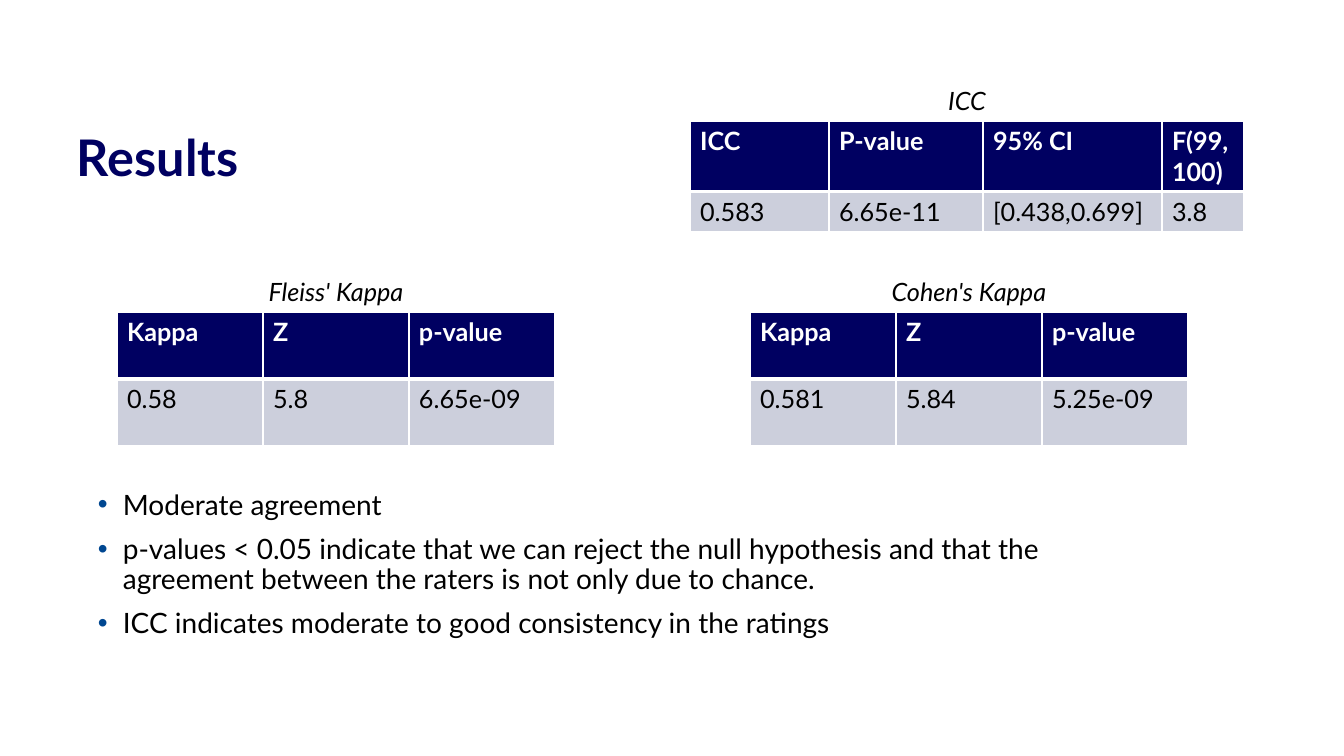
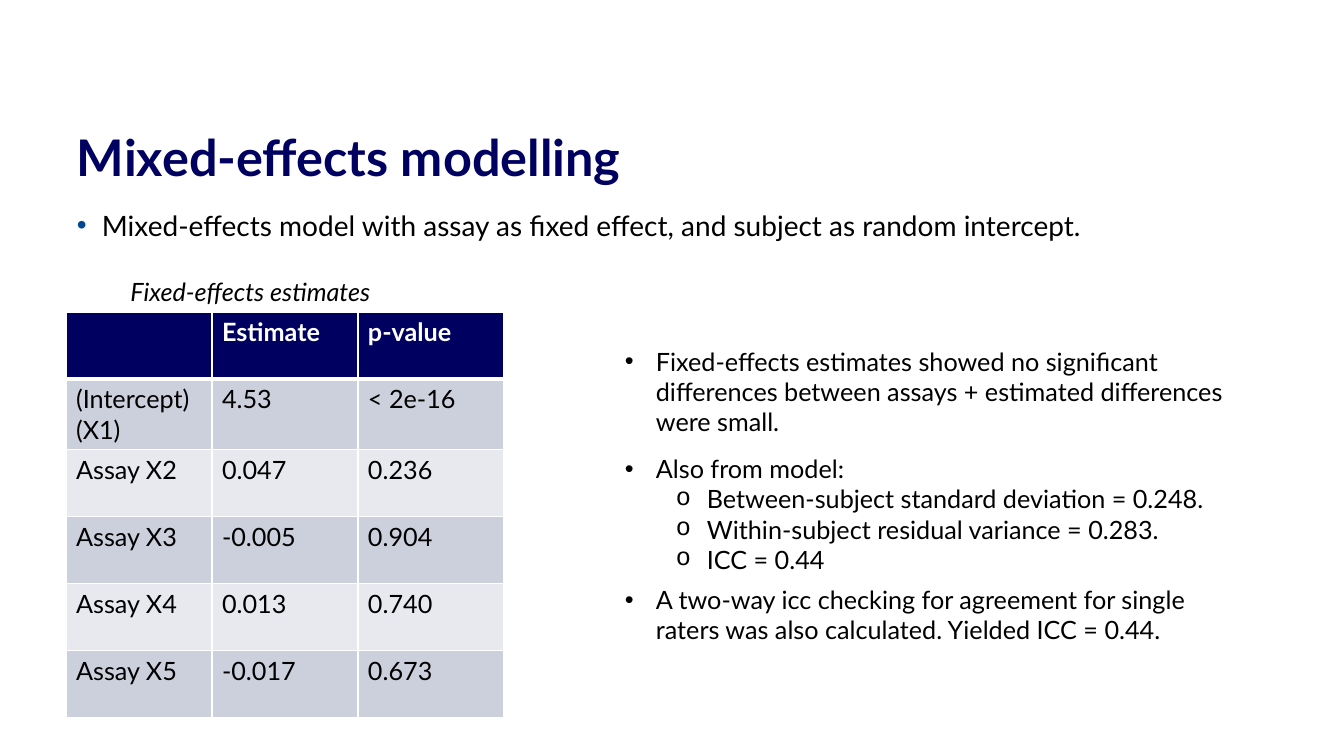
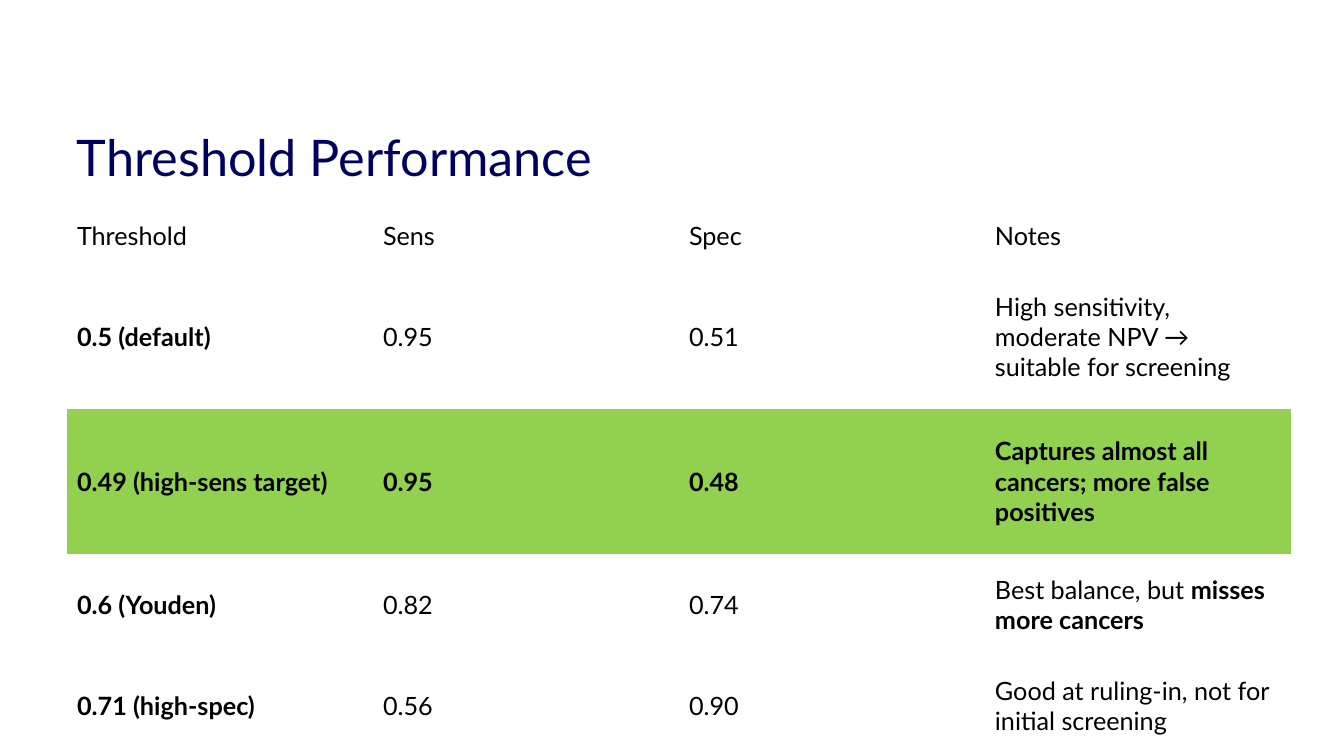
import pptx
import pptx.util
import pptx.dml.color
import pptx.enum.text
import pptx.oxml.ns
from lxml import etree

PX = 914400 / 100.8

THEME = {
    "font": "Lato",
    "navy": "000061", "blue": "004791", "black": "000000", "white": "FFFFFF",
    "band_dark": "CCCFDC", "band_light": "E7E9EE", "highlight": "92D050",
    "title_size": 36, "body_size": 20, "text_size": 18,
}
TITLE_BOX = (67, 121, 1212, 62)
CAPTION_WIDTH, CAPTION_HEIGHT, CAPTION_RISE = 329, 40, 41
LEFT, CENTER = pptx.enum.text.PP_ALIGN.LEFT, pptx.enum.text.PP_ALIGN.CENTER

# Bullet levels: character, its font, left margin and hanging indent in px
BODY_BULLET = ("•", "Arial", 25, 25)
NOTE_BULLET = ("•", "Arial", 31, 31)
SUB_BULLET = ("o", "Courier New", 82, 31)

# ---- Content ----
RESULTS_TABLES = [
    # caption, left, top, column widths, row heights, rows
    ("Fleiss' Kappa", 117, 312, [146] * 3, [67] * 2,
     [["Kappa", "Z", "p-value"], ["0.58", "5.8", "6.65e-09"]]),
    ("Cohen's Kappa", 750, 312, [146] * 3, [67] * 2,
     [["Kappa", "Z", "p-value"], ["0.581", "5.84", "5.25e-09"]]),
    ("ICC", 690, 121, [139, 154, 179, 82], [67, 40],
     [["ICC", "P-value", "95% CI", "F(99,100)"],
      ["0.583", "6.65e-11", "[0.438,0.699]", "3.8"]]),
]
# Bulleted lines: text, bullet level, space before in points
RESULTS_POINTS = [
    ("Moderate agreement", BODY_BULLET, 0),
    ("p-values < 0.05 indicate that we can reject the null hypothesis and that the "
     "agreement between the raters is not only due to chance.", BODY_BULLET, 10),
    ("ICC indicates moderate to good consistency in the ratings", BODY_BULLET, 10),
]

MODEL_POINTS = [
    ("Mixed-effects model with assay as fixed effect, and subject as random intercept.",
     BODY_BULLET, 0),
]
ESTIMATES_TABLE = (
    "Fixed-effects estimates", 66, 312, [146] * 3, [67] * 6,
    [["", "Estimate", "p-value"],
     ["(Intercept) (X1)", "4.53", "< 2e-16"],
     ["Assay X2", "0.047", "0.236"],
     ["Assay X3", "-0.005", "0.904"],
     ["Assay X4", "0.013", "0.740"],
     ["Assay X5", "-0.017", "0.673"]])
MODEL_NOTES = [
    ("Fixed-effects estimates showed no significant differences between assays "
     "+ estimated differences were small.", NOTE_BULLET, 0),
    ("Also from model:", NOTE_BULLET, 12),
    ("Between-subject standard deviation = 0.248.", SUB_BULLET, 0),
    ("Within-subject residual variance = 0.283.", SUB_BULLET, 0),
    ("ICC = 0.44", SUB_BULLET, 0),
    ("A two-way icc checking for agreement for single raters was also calculated. "
     "Yielded ICC = 0.44.", NOTE_BULLET, 7.2),
]

# Text between ** marks is bold
THRESHOLD_ROWS = [
    ["Threshold", "Sens", "Spec", "Notes"],
    ["**0.5 (default)**", "0.95", "0.51",
     "High sensitivity, moderate NPV → suitable for screening"],
    ["**0.49 (high-sens target)**", "**0.95**", "**0.48**",
     "**Captures almost all cancers; more false positives**"],
    ["**0.6 (Youden)**", "0.82", "0.74", "Best balance, but **misses more cancers**"],
    ["**0.71 (high-spec)**", "0.56", "0.90", "Good at ruling-in, not for initial screening"],
]
CHOSEN_ROW = 2


# ---- Helpers ----
def px(length):
    return pptx.util.Emu(round(length * PX))


def rgb(name):
    return pptx.dml.color.RGBColor.from_string(THEME[name])


def style_run(run, size, color="black", bold=False, italic=False):
    run.font.name = THEME["font"]
    run.font.size = pptx.util.Pt(THEME[size])
    run.font.color.rgb = rgb(color)
    run.font.bold = bold
    run.font.italic = italic


def child(parent, tag, **attributes):
    return etree.SubElement(parent, pptx.oxml.ns.qn(tag), **attributes)


def add_text_frame(slide, box):
    frame = slide.shapes.add_textbox(*map(px, box)).text_frame
    frame.word_wrap = True
    return frame


def add_line(slide, box, text, size, align=LEFT, **look):
    frame = add_text_frame(slide, box)
    frame.text = text
    paragraph = frame.paragraphs[0]
    paragraph.alignment = align
    style_run(paragraph.runs[0], size, **look)
    return frame


def new_slide(deck, title, bold=True):
    slide = deck.slides.add_slide(deck.slide_layouts[6])
    frame = add_line(slide, TITLE_BOX, title, "title_size", color="navy", bold=bold)
    frame.margin_top = px(12)
    frame.paragraphs[0].line_spacing = 0.9
    return slide


def add_bullets(slide, box, lines, size, bullet_color="black", line_spacing=1.0):
    frame = add_text_frame(slide, box)
    frame.text = "\n".join(text for text, _, _ in lines)
    for paragraph, (_, (mark, mark_font, margin, hang), before) in zip(frame.paragraphs, lines):
        props = paragraph._p.get_or_add_pPr()
        props.set("marL", str(px(margin)))
        props.set("indent", str(-px(hang)))
        child(child(props, "a:buClr"), "a:srgbClr", val=THEME[bullet_color])
        child(props, "a:buFont", typeface=mark_font)
        child(props, "a:buChar", char=mark)
        paragraph.line_spacing = line_spacing
        paragraph.space_before = pptx.util.Pt(before)
        style_run(paragraph.runs[0], size)


def set_borders(cell, widths):
    """Widths in points for left, right, top, bottom; 0 means no line."""
    props = cell._tc.get_or_add_tcPr()
    for side, width in zip("LRTB", widths):
        line = child(props, "a:ln" + side, w=str(pptx.util.Pt(width)))
        if width:
            child(child(line, "a:solidFill"), "a:srgbClr", val=THEME["white"])
        else:
            child(line, "a:noFill")


def add_grid(slide, left, top, widths, heights, rows, dress_cell):
    table = slide.shapes.add_table(
        len(rows), len(widths), px(left), px(top), px(sum(widths)), px(sum(heights))).table
    for column, width in zip(table.columns, widths):
        column.width = px(width)
    for row, height in zip(table.rows, heights):
        row.height = px(height)
    for r, row in enumerate(rows):
        for c, text in enumerate(row):
            dress_cell(table.cell(r, c), r, text)


def dress_banded(cell, row, text):
    header = row == 0
    set_borders(cell, (1, 1, 1 if row != 1 else 3, 3 if header else 1))
    cell.fill.solid()
    cell.fill.fore_color.rgb = rgb(
        "navy" if header else "band_dark" if row % 2 else "band_light")
    cell.text_frame.text = text
    for run in cell.text_frame.paragraphs[0].runs:
        style_run(run, "text_size", "white" if header else "black", bold=header)


def dress_threshold(cell, row, text):
    set_borders(cell, (0, 0, 0, 0))
    if row == CHOSEN_ROW:
        cell.fill.solid()
        cell.fill.fore_color.rgb = rgb("highlight")
    else:
        cell.fill.background()
    cell.vertical_anchor = pptx.enum.text.MSO_ANCHOR.MIDDLE
    for i, piece in enumerate(text.split("**")):
        if piece:
            run = cell.text_frame.paragraphs[0].add_run()
            run.text = piece
            style_run(run, "text_size", bold=i % 2 == 1)


def add_captioned_table(slide, caption, left, top, widths, heights, rows, align=CENTER):
    add_grid(slide, left, top, widths, heights, rows, dress_banded)
    caption_left = left + (sum(widths) - CAPTION_WIDTH) / 2
    add_line(slide, (caption_left, top - CAPTION_RISE, CAPTION_WIDTH, CAPTION_HEIGHT),
             caption, "text_size", align, italic=True)


# ---- Slides ----
def main():
    deck = pptx.Presentation()
    deck.slide_width, deck.slide_height = px(1344), px(756)

    # Results
    results = new_slide(deck, "Results")
    for table in RESULTS_TABLES:
        add_captioned_table(results, *table)
    add_bullets(results, (88, 486, 1041, 270), RESULTS_POINTS, "body_size", "blue", 0.9)

    # Mixed-effects modelling
    modelling = new_slide(deck, "Mixed-effects modelling")
    add_bullets(modelling, (67, 207, 1212, 491), MODEL_POINTS, "body_size", "blue", 0.9)
    add_captioned_table(modelling, *ESTIMATES_TABLE, align=LEFT)
    add_bullets(modelling, (615, 341, 645, 312), MODEL_NOTES, "text_size")

    # Threshold performance
    threshold = new_slide(deck, "Threshold Performance", bold=False)
    add_grid(threshold, 67, 207, [306] * 4, [57, 145, 145, 101, 101],
             THRESHOLD_ROWS, dress_threshold)

    deck.save("out.pptx")


if __name__ == "__main__":
    main()
